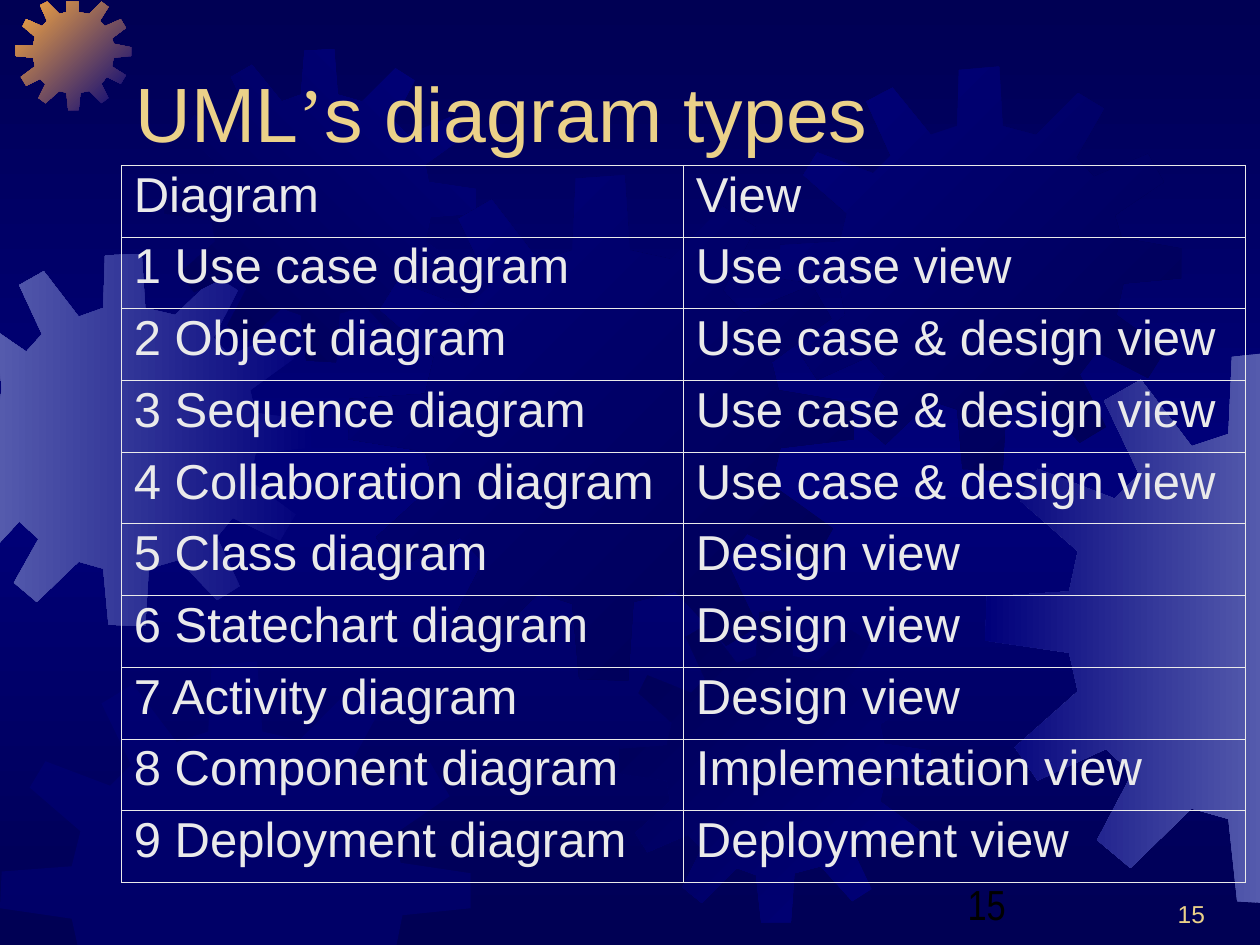
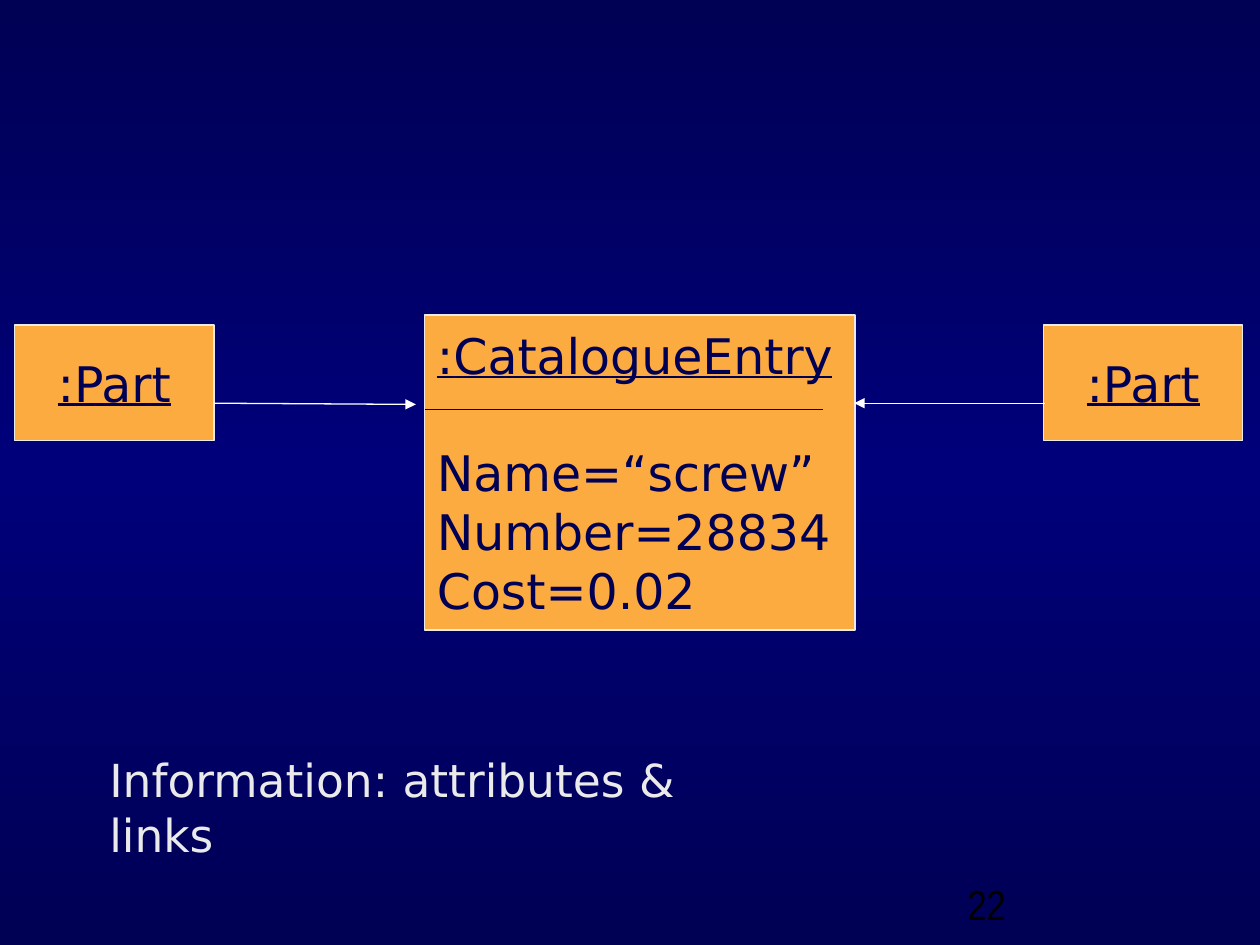
from copy import deepcopy

from lxml.etree import SubElement
from pptx import Presentation
from pptx.dml.color import RGBColor
from pptx.enum.shapes import MSO_CONNECTOR as CONN, MSO_SHAPE as SHAPE
from pptx.enum.text import MSO_ANCHOR as ANCHOR, PP_ALIGN as ALIGN
from pptx.oxml.ns import qn
from pptx.util import Pt

NAVY = RGBColor(0x00, 0x00, 0x54)
BLUE = RGBColor(0x00, 0x00, 0x7A)
LAVENDER = RGBColor(0x55, 0x5B, 0xAD)
ORANGE = RGBColor(0xFC, 0xAB, 0x40)
GOLD = RGBColor(0xEB, 0xD1, 0x89)
PALE = RGBColor(0xEA, 0xEA, 0xEA)
WHITE = RGBColor(0xFF, 0xFF, 0xFF)
BLACK = RGBColor(0x00, 0x00, 0x00)

GEAR_SIZE = 401
GEAR = [
    (255, 67), (223, 59), (219, 0), (180, 3), (177, 59), (151, 68),
    (113, 20), (87, 35), (112, 88), (94, 106), (38, 85), (25, 107),
    (68, 145), (61, 174), (1, 178), (0, 210), (61, 219), (67, 246),
    (22, 287), (38, 312), (88, 288), (107, 307), (81, 355), (106, 375),
    (151, 332), (177, 340), (183, 400), (222, 401), (226, 339), (259, 330),
    (299, 374), (325, 358), (299, 306), (316, 284), (368, 309), (384, 281),
    (336, 246), (342, 216), (401, 210), (400, 180), (341, 171), (335, 148),
    (383, 114), (367, 87), (313, 109), (296, 91), (323, 41), (297, 25),
]
GEARS = [
    (-35.3, 144.7, 213.1, (BLUE, LAVENDER), 180),
    (8.6, -2.9, 66.2, (BLUE, ORANGE), 135),
    (93.6, 28.1, 178.6, (BLUE, NAVY), 225),
    (199.4, 100.1, 288.7, (NAVY, BLUE), 135),
    (0, 378, 269.3, (BLUE,), 0),
    (353.5, 348.5, 178.6, (BLUE, NAVY), 135),
    (445, 38.2, 230.4, (NAVY, BLUE), 135),
    (563, 201.6, 314.6, (LAVENDER, BLUE), 180),
]
ROWS = [
    ("Diagram", "View"),
    ("1 Use case diagram", "Use case view"),
    ("2 Object diagram", "Use case & design view"),
    ("3 Sequence diagram", "Use case & design view"),
    ("4 Collaboration diagram", "Use case & design view"),
    ("5 Class diagram", "Design view"),
    ("6 Statechart diagram", "Design view"),
    ("7 Activity diagram", "Design view"),
    ("8 Component diagram", "Implementation view"),
    ("9 Deployment diagram", "Deployment view"),
]


def add_text(s, text, box, size, font, color, anchor=ANCHOR.BOTTOM, align=ALIGN.LEFT):
    tf = s.shapes.add_textbox(*map(Pt, box)).text_frame
    tf.word_wrap = True
    tf.vertical_anchor = anchor
    tf.text = text
    p = tf.paragraphs[0]
    p.alignment = align
    f = p.runs[0].font
    f.size, f.name, f.color.rgb = Pt(size), font, color
    return p


def add_line(s, x1, y1, x2, y2, color, arrow=False):
    line = s.shapes.add_connector(CONN.STRAIGHT, Pt(x1), Pt(y1), Pt(x2), Pt(y2))
    line.line.color.rgb = color
    line.line.width = Pt(0.75)
    if arrow:
        SubElement(line.line._get_or_add_ln(), qn("a:tailEnd"), type="triangle")
    SubElement(line._element.spPr, qn("a:effectLst"))


prs = Presentation()
prs.slide_width, prs.slide_height = Pt(720), Pt(540)
slides = []
for number in ("15", "22"):
    s = prs.slides.add_slide(prs.slide_layouts[6])
    fill = s.background.fill
    fill.gradient()
    fill.gradient_angle = 270
    stops = s._element.find(".//" + qn("a:gsLst"))
    stops.append(deepcopy(stops[-1]))
    for i, (stop, color) in enumerate(zip(fill.gradient_stops, (NAVY, BLUE, NAVY))):
        stop.color.rgb = color
        stop.position = i / 2
    slides.append((s, number))

s = slides[0][0]
for left, top, size, colors, angle in GEARS:
    points = [
        (min(max(left + x * size / GEAR_SIZE, -0.7), 720.7),
         min(max(top + y * size / GEAR_SIZE, 1.4), 543))
        for x, y in GEAR
    ]
    fb = s.shapes.build_freeform(*points[0], scale=Pt(1))
    fb.add_line_segments(points[1:])
    gear = fb.convert_to_shape()
    gear.shadow.inherit = False
    gear.line.fill.background()
    if len(colors) == 1:
        gear.fill.solid()
        gear.fill.fore_color.rgb = colors[0]
        rgb = gear._element.spPr.find(".//" + qn("a:srgbClr"))
        SubElement(rgb, qn("a:alpha"), val="50000")
    else:
        gear.fill.gradient()
        gear.fill.gradient_angle = angle
        for i, (stop, color) in enumerate(zip(gear.fill.gradient_stops, colors)):
            stop.color.rgb = color
            stop.position = i

page_box = (545.8, 498.2, 149.8, 36)
add_text(s, "15", page_box, 14, "Arial", GOLD, align=ALIGN.RIGHT)
p = add_text(s, "UML", (70.6, 3.6, 612, 90), 44, "Arial", GOLD)
for text, font in (("’", "Times New Roman"), ("s diagram types", "Arial")):
    r = p.add_run()
    r.text = text
    r.font.size, r.font.name, r.font.color.rgb = Pt(44), font, GOLD

for s, number in slides:
    add_text(s, number, page_box, 24, "Arial Narrow", BLACK)

s = slides[0][0]
table = s.shapes.add_table(len(ROWS), 2, Pt(69.3), Pt(94.4), Pt(642.4), Pt(410)).table
table.first_row = table.horz_banding = False
for row, texts in zip(table.rows, ROWS):
    row.height = Pt(41)
    for cell, text in zip(row.cells, texts):
        cell.text = text
        p = cell.text_frame.paragraphs[0]
        p.line_spacing = 0.93
        p.space_before = Pt(7)
        f = p.runs[0].font
        f.size, f.name, f.color.rgb = Pt(28), "Arial", PALE
        tcPr = cell._tc.get_or_add_tcPr()
        for side in ("lnL", "lnR", "lnT", "lnB"):
            ln = SubElement(tcPr, qn("a:" + side), w=str(Pt(0.5)))
            SubElement(SubElement(ln, qn("a:solidFill")), qn("a:srgbClr"), val=str(PALE))
        cell.fill.background()

s = slides[1][0]
part = [":Part"]
entry = [":CatalogueEntry", "Name=“screw”", "Number=28834", "Cost=0.02"]
for lines, box, align in (
    (part, (8.3, 185.8, 114, 66), ALIGN.CENTER),
    (entry, (242.6, 180, 246, 180), ALIGN.LEFT),
    (part, (596.2, 185.8, 114, 66), ALIGN.CENTER),
):
    sp = s.shapes.add_shape(SHAPE.RECTANGLE, *map(Pt, box))
    sp.shadow.inherit = False
    sp.fill.solid()
    sp.fill.fore_color.rgb = ORANGE
    sp.line.color.rgb = PALE
    sp.line.width = Pt(0.75)
    tf = sp.text_frame
    tf.word_wrap = True
    tf.vertical_anchor = ANCHOR.MIDDLE
    tf.text = "\n".join(lines)
    for i, p in enumerate(tf.paragraphs):
        p.alignment = align
        if i == 1:
            p.space_before = Pt(33)
        f = p.runs[0].font
        f.size, f.name, f.color.rgb = Pt(28), "DejaVu Sans", NAVY
        f.underline = i == 0

add_line(s, 242.6, 234, 470.2, 234, NAVY)
add_text(s, "Information: attributes & links", (55.4, 426.2, 383, 38.9), 26,
         "DejaVu Sans", PALE, anchor=ANCHOR.TOP)
add_line(s, 122.4, 230.4, 237.6, 231.1, WHITE, arrow=True)
add_line(s, 596.9, 230.4, 488.2, 230.4, WHITE, arrow=True)

prs.save("out.pptx")
